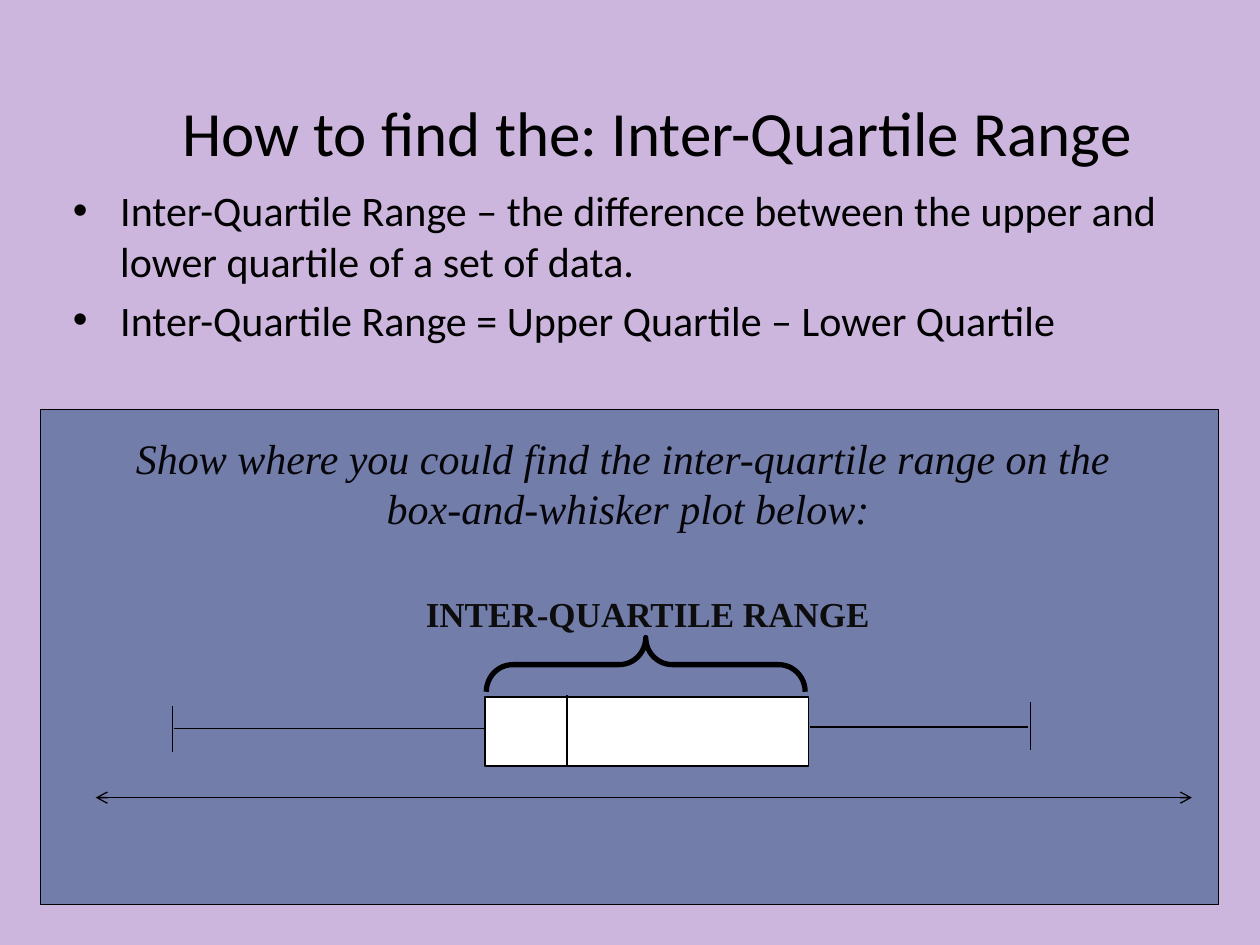
from lxml.etree import SubElement
from pptx import Presentation
from pptx.dml.color import RGBColor
from pptx.enum.shapes import MSO_CONNECTOR, MSO_SHAPE
from pptx.enum.text import MSO_ANCHOR, PP_ALIGN
from pptx.oxml.ns import qn
from pptx.util import Pt

BLACK = "000000"

# box (left, top, width, height), paragraphs, font settings, layout settings
TEXTS = [
    ((77.8, 30.2, 595.4, 90), ["How to find the: Inter-Quartile Range"],
     dict(name="Calibri", size=36, color=BLACK),
     dict(align=PP_ALIGN.CENTER, anchor=MSO_ANCHOR.MIDDLE)),
    ((34.6, 102.2, 666, 119.5),
     ["Inter-Quartile Range – the difference between the upper and lower quartile of a set of data.",
      "Inter-Quartile Range = Upper Quartile – Lower Quartile"],
     dict(name="Calibri", size=24, color=BLACK), dict(bullet="•", space=4.8)),
    ((43.9, 243.4, 630, 64.8),
     ["Show where you could find the inter-quartile range on the ",
      "box-and-whisker plot below:"],
     dict(name="Times New Roman", size=24, color="06060A", italic=True),
     dict(align=PP_ALIGN.CENTER, anchor=MSO_ANCHOR.MIDDLE, wrap=False)),
    ((236.2, 334.8, 334, 31), ["INTER-QUARTILE RANGE"],
     dict(name="Times New Roman", size=20, color="0D0D0D", bold=True), {}),
]
PANEL = (23, 234, 673.2, 283)
QUARTILE_BOX = (277.2, 398.2, 185, 39.6)
BRACE = (353.5, 288.7, 31, 182.2)
AXIS = (54.7, 455.8, 681.1, 455.8)
PLOT_LINES = {
    "median": (324, 437.8, 324, 397.4),
    "lower whisker": (277.2, 416.2, 99.4, 416.2),
    "minimum": (98.6, 429.8, 98.6, 403.2),
    "upper whisker": (463, 415.4, 587.5, 415.4),
    "maximum": (589, 428.4, 589, 401),
}


def rgb(value):
    return RGBColor.from_string(value)


def fill_solid(fill, color, opacity=100):
    fill.solid()
    fill.fore_color.rgb = rgb(color)
    if opacity < 100:
        color_element = fill._xPr.find(qn("a:solidFill"))[0]
        SubElement(color_element, qn("a:alpha"), val=str(opacity * 1000))


def set_line(line, width=0.75):
    line.color.rgb = rgb(BLACK)
    line.width = Pt(width)


def add_shape(slide, kind, box, width=0.75):
    shape = slide.shapes.add_shape(kind, *map(Pt, box))
    shape.shadow.inherit = False
    set_line(shape.line, width)
    return shape


def add_line(slide, ends, arrows=False):
    connector = slide.shapes.add_connector(MSO_CONNECTOR.STRAIGHT, *map(Pt, ends))
    set_line(connector.line)
    properties = connector._element.spPr
    if arrows:
        outline = properties.find(qn("a:ln"))
        for end in ("a:headEnd", "a:tailEnd"):
            SubElement(outline, qn(end), type="arrow")
    SubElement(properties, qn("a:effectLst"))


def add_bullet(paragraph, character):
    properties = paragraph._p.get_or_add_pPr()
    properties.set("marL", str(Pt(27)))
    properties.set("indent", str(Pt(-27)))
    SubElement(properties, qn("a:buFont"), typeface="Arial")
    SubElement(properties, qn("a:buChar"), char=character)


def add_text(slide, box, lines, font, align=PP_ALIGN.LEFT, anchor=MSO_ANCHOR.TOP,
             wrap=True, bullet=None, space=0):
    frame = slide.shapes.add_textbox(*map(Pt, box)).text_frame
    frame.word_wrap = wrap
    frame.vertical_anchor = anchor
    for index, line in enumerate(lines):
        paragraph = frame.add_paragraph() if index else frame.paragraphs[0]
        paragraph.alignment = align
        if bullet:
            add_bullet(paragraph, bullet)
        if index and space:
            paragraph.space_before = Pt(space)
        run = paragraph.add_run()
        run.text = line
        run.font.name = font["name"]
        run.font.size = Pt(font["size"])
        run.font.bold = font.get("bold", False)
        run.font.italic = font.get("italic", False)
        run.font.color.rgb = rgb(font["color"])


def main():
    presentation = Presentation()
    presentation.slide_width, presentation.slide_height = Pt(720), Pt(540)
    slide = presentation.slides.add_slide(presentation.slide_layouts[6])
    fill_solid(slide.background.fill, "7030A0", 35)

    panel = add_shape(slide, MSO_SHAPE.RECTANGLE, PANEL)
    fill_solid(panel.fill, "1F497D", 52)
    add_line(slide, AXIS, arrows=True)
    quartile_box = add_shape(slide, MSO_SHAPE.RECTANGLE, QUARTILE_BOX)
    fill_solid(quartile_box.fill, "FFFFFF")
    for ends in PLOT_LINES.values():
        add_line(slide, ends)

    brace = add_shape(slide, MSO_SHAPE.LEFT_BRACE, BRACE, width=3)
    brace.fill.background()
    brace.rotation = 90
    brace.adjustments[0] = 0.49
    brace.adjustments[1] = 0.5

    for box, lines, font, layout in TEXTS:
        add_text(slide, box, lines, font, **layout)
    presentation.save("out.pptx")


if __name__ == "__main__":
    main()
